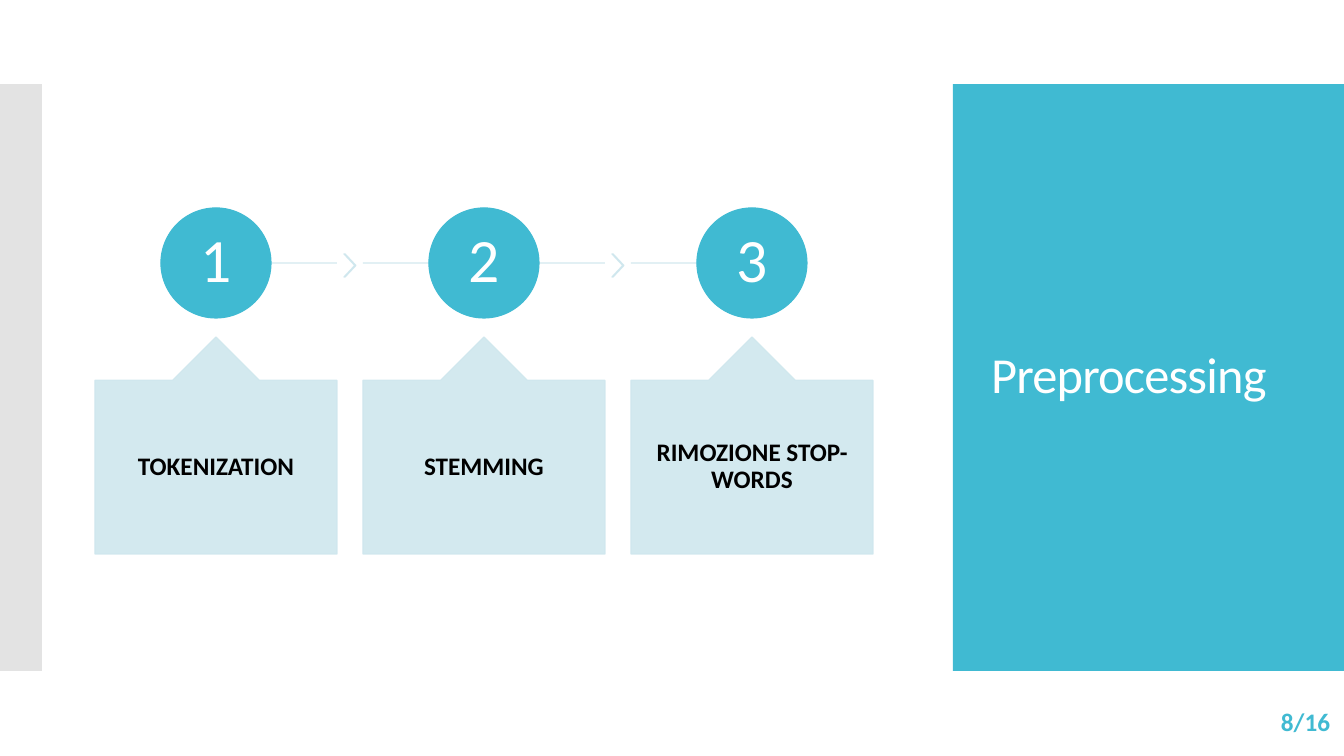
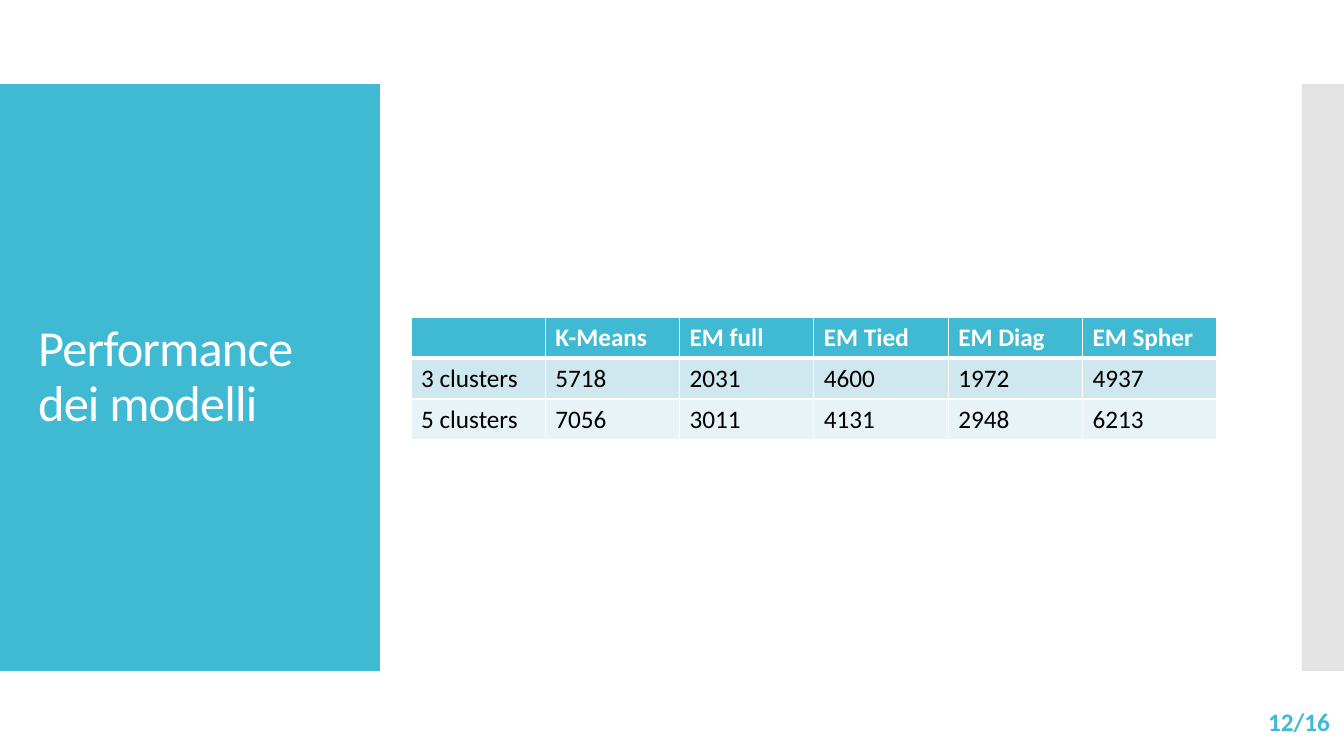
from dataclasses import dataclass
from lxml import etree
from pptx import Presentation
from pptx.dml.color import RGBColor
from pptx.enum.shapes import MSO_CONNECTOR as CONN, MSO_SHAPE as SHAPE
from pptx.enum.text import MSO_ANCHOR as ANCHOR, MSO_AUTO_SIZE as AUTO, PP_ALIGN as ALIGN
from pptx.oxml.ns import qn
from pptx.util import Pt


@dataclass(frozen=True)
class Theme:
    font: str = "Calibri"
    accent: str = "40BAD2"
    pale: str = "CFE7EE"
    paler: str = "E8F3F7"
    grey: str = "C8C8C8"
    white: str = "FFFFFF"
    black: str = "000000"
    title: int = 36
    number: int = 44
    text: int = 18
    line: float = 0.85


T = Theme()
W, H = 1344, 756
BAND_TOP, BAND_H, STRIP_W = 84, 587, 42

STEPS = ["TOKENIZATION", "STEMMING", "RIMOZIONE STOP-WORDS"]
RESULTS = [
    ["", "K-Means", "EM full", "EM Tied", "EM Diag", "EM Spher"],
    ["3 clusters", "5718", "2031", "4600", "1972", "4937"],
    ["5 clusters", "7056", "3011", "4131", "2948", "6213"],
]
ROW_STYLES = [(T.accent, T.white, True), (T.pale, T.black, False), (T.paler, T.black, False)]


def px(n):
    return round(n * 914400 / 100.8)


def box(*lengths):
    return [px(n) for n in lengths]


def rgb(color):
    return RGBColor.from_string(color)


def paint(fill, color, alpha=100):
    fill.solid()
    fill.fore_color.rgb = rgb(color)
    if alpha < 100:
        clr = fill._xPr.find(qn("a:solidFill"))[0]
        etree.SubElement(clr, qn("a:alpha"), val=str(alpha * 1000))


def outline(line, color, alpha=100):
    line.width = Pt(T.line)
    paint(line.fill, color, alpha)


def shape(s, kind, at, color, alpha=100, lined=True):
    sp = s.shapes.add_shape(kind, *box(*at))
    sp.shadow.inherit = False
    paint(sp.fill, color, alpha)
    if lined:
        outline(sp.line, color, alpha)
    else:
        sp.line.fill.background()
    return sp


def write(tf, text, size, color, bold=False, align=ALIGN.LEFT, spacing=None, inset=None):
    tf.word_wrap = True
    tf.auto_size = AUTO.NONE
    tf.vertical_anchor = ANCHOR.MIDDLE
    if inset is not None:
        tf.margin_left = tf.margin_right = tf.margin_top = tf.margin_bottom = px(inset)
    p = tf.paragraphs[0]
    p.text = text
    p.alignment = align
    p.line_spacing = spacing
    style_font(p, size, color, bold)
    return p


def style_font(p, size, color, bold):
    p.font.name = T.font
    p.font.size = Pt(size)
    p.font.bold = bold
    p.font.color.rgb = rgb(color)


def base_slide(prs, title, page, panel_x, panel_w, strip_x, title_x):
    s = prs.slides.add_slide(prs.slide_layouts[5])
    sp = s.shapes.title
    sp.left, sp.top, sp.width, sp.height = box(title_x, 124, 325, 507)
    p = write(sp.text_frame, title, T.title, T.white, spacing=0.9)
    p.runs[0].font._element.set("spc", "-60")
    panel = shape(s, SHAPE.RECTANGLE, (panel_x, BAND_TOP, panel_w, BAND_H), T.accent, lined=False)
    sp.element.addprevious(panel.element)
    shape(s, SHAPE.RECTANGLE, (strip_x, BAND_TOP, STRIP_W, BAND_H), T.grey, 50, lined=False)
    footer = s.shapes.add_textbox(*box(1172, 701, 168, 40))
    write(footer.text_frame, page, T.text, T.accent, True, ALIGN.RIGHT)
    return s


def rule(s, x1, x2, y):
    c = s.shapes.add_connector(CONN.STRAIGHT, *box(x1, y, x2, y))
    outline(c.line, T.pale, 90)
    etree.SubElement(c.element.spPr, qn("a:effectLst"))


def process(s, steps):
    left, card_w, gap, axis, dia = 95, 242, 26, 263, 110
    last = len(steps) - 1
    for i, step in enumerate(steps):
        x = left + i * (card_w + gap)
        mid, right = x + card_w / 2, x + card_w
        rule(s, mid if i == 0 else x, mid if i == last else right, axis)
        if i < last:
            shape(s, SHAPE.CHEVRON, (right + 7, 254, 12, 23), T.pale, 90).adjustments[0] = 0.9
        circle = shape(s, SHAPE.OVAL, (mid - dia / 2, axis - dia / 2, dia, dia), T.accent)
        write(circle.text_frame, str(i + 1), T.number, T.white,
              align=ALIGN.CENTER, spacing=0.9, inset=4)
        card = shape(s, SHAPE.UP_ARROW_CALLOUT, (x, 337, card_w, 217), T.pale, 90)
        for j, value in enumerate((0.5, 0.2, 0.2, 0.8)):
            card.adjustments[j] = value
        write(card.text_frame, step, T.text, T.black, True, ALIGN.CENTER, 0.9, 18)


def border(cell, side, width):
    ln = etree.SubElement(cell._tc.get_or_add_tcPr(), qn(f"a:ln{side}"), w=str(Pt(width)))
    fill = etree.SubElement(ln, qn("a:solidFill"))
    etree.SubElement(fill, qn("a:srgbClr"), val=T.white)


def results_table(s, rows):
    frame = s.shapes.add_table(len(rows), len(rows[0]), *box(411, 317, 806, 123))
    for r, (row, (fill, color, bold)) in enumerate(zip(rows, ROW_STYLES)):
        for c, text in enumerate(row):
            cell = frame.table.cell(r, c)
            for side in "LRTB":
                thick = (r, side) in ((0, "B"), (1, "T"))
                border(cell, side, 3 if thick else 1)
            paint(cell.fill, fill)
            p = cell.text_frame.paragraphs[0]
            p.text = text
            style_font(p, T.text, color, bold)


def main():
    prs = Presentation()
    prs.slide_width, prs.slide_height = box(W, H)
    s = base_slide(prs, "Preprocessing", "8/16", 953, W - 953, 0, 981)
    process(s, STEPS)
    s = base_slide(prs, "Performance dei modelli", "12/16", 0, 380, W - STRIP_W, 28)
    results_table(s, RESULTS)
    prs.save("out.pptx")


if __name__ == "__main__":
    main()
